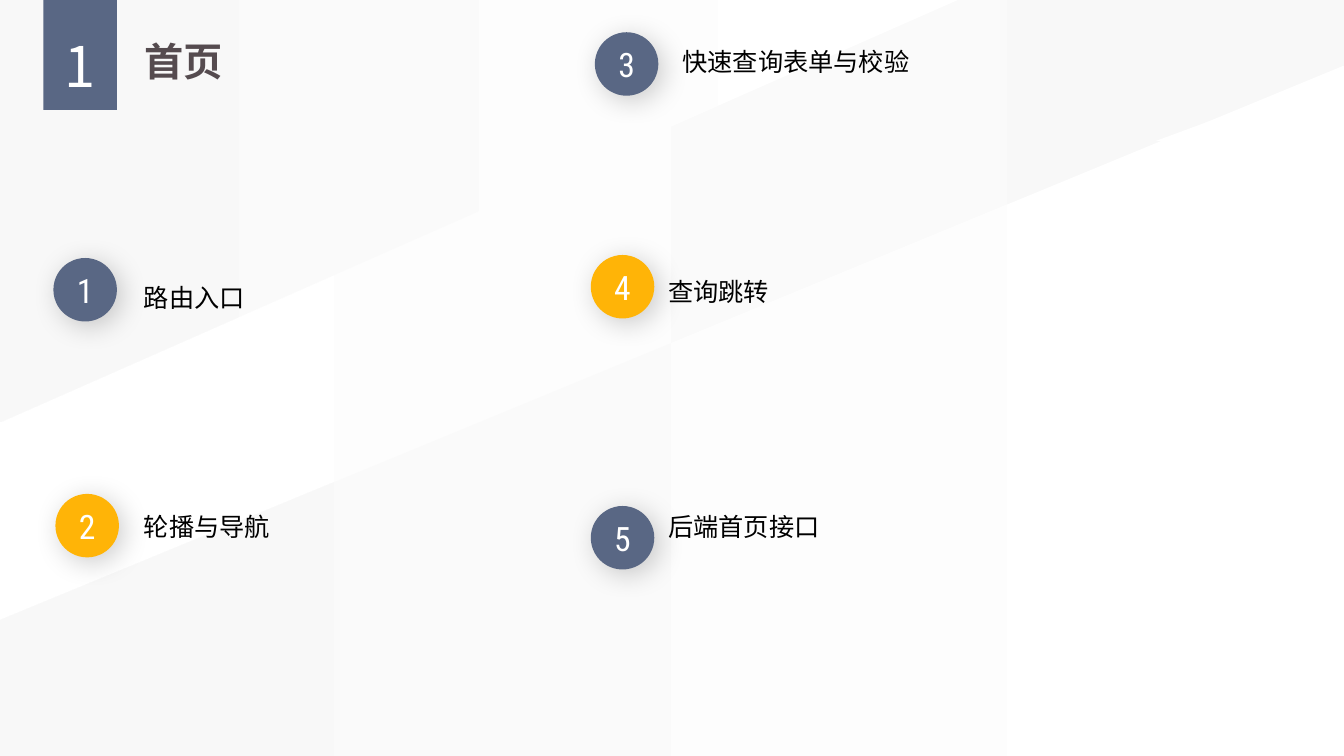
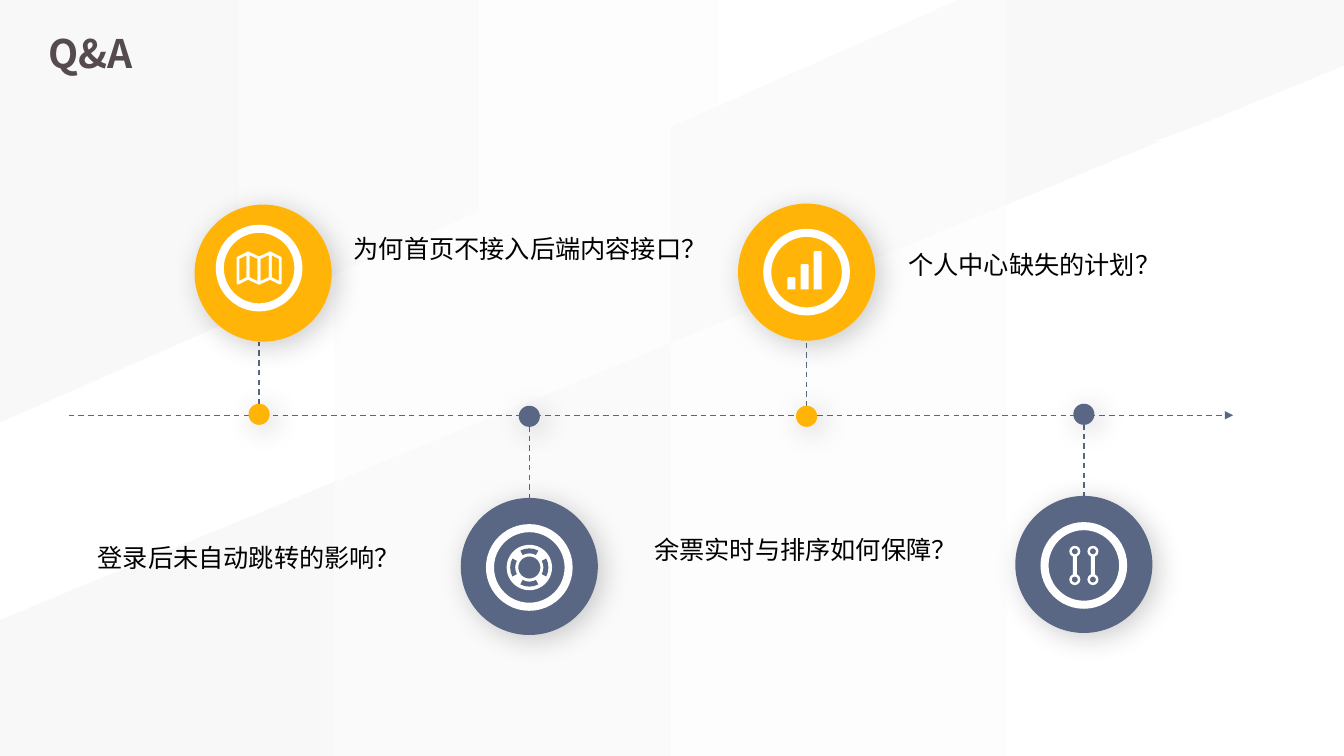
from lxml.etree import SubElement
from pptx import Presentation
from pptx.dml.color import RGBColor
from pptx.enum.dml import MSO_LINE
from pptx.enum.shapes import MSO_CONNECTOR, MSO_SHAPE
from pptx.enum.text import MSO_ANCHOR, MSO_AUTO_SIZE, PP_ALIGN
from pptx.oxml.ns import qn
from pptx.util import Pt

PX = 9144
WIDTH, HEIGHT = 1333, 750
COLORS = {
    "slate": "596784",
    "amber": "FFB407",
    "title": "554B4F",
    "text": "000000",
    "white": "FFFFFF",
    "mist": "F8F8F8",
}
SANS, DIGITS = "Noto Sans CJK SC", "Roboto Condensed"


def rgb(color):
    """Look up a palette colour."""
    return RGBColor.from_string(COLORS[color])


def px(*lengths):
    """Turn px lengths into EMU."""
    return [round(length * PX) for length in lengths]


def paint(shape, color):
    """Give a shape a flat fill without outline or shadow."""
    shape.fill.solid()
    shape.fill.fore_color.rgb = rgb(color)
    shape.line.fill.background()
    shape.shadow.inherit = False
    return shape


def fade(shape, right, left):
    """Fill a shape with a gradient running from right to left."""
    paint(shape, right)
    shape.fill.gradient()
    shape.fill.gradient_angle = 180
    for stop, color in zip(shape.fill.gradient_stops, (right, left)):
        stop.color.rgb = rgb(color)


def cast_shadow(shape):
    """Add a soft shadow towards the lower right."""
    effects = shape.element.spPr.find(qn("a:effectLst"))
    outer = SubElement(effects, qn("a:outerShdw"), blurRad=str(Pt(20)), dist=str(Pt(5)),
                       dir="2700000", algn="tl", rotWithShape="0")
    black = SubElement(outer, qn("a:srgbClr"), val=COLORS["text"])
    SubElement(black, qn("a:alpha"), val="20000")


def preset(slide, kind, box, color, adjustments=()):
    """Draw a flat preset shape in a px box."""
    shape = paint(slide.shapes.add_shape(kind, *px(*box)), color)
    for index, value in enumerate(adjustments):
        shape.adjustments[index] = value
    return shape


def disc(slide, x, y, size, color):
    """Draw a circle with a shadow."""
    circle = preset(slide, MSO_SHAPE.OVAL, (x, y, size, size), color)
    cast_shadow(circle)
    return circle


def ring(slide, cx, cy, size, thickness, color="white"):
    """Draw a ring around a centre point."""
    box = (cx - size / 2, cy - size / 2, size, size)
    preset(slide, MSO_SHAPE.DONUT, box, color, [thickness / size])


def outline(slide, contours):
    """Build one freeform from closed px contours."""
    builder = slide.shapes.build_freeform(*contours[0][0], scale=PX)
    for index, (start, *rest) in enumerate(contours):
        if index:
            builder.move_to(*start)
        builder.add_line_segments(rest, close=True)
    return builder.convert_to_shape()


def write(shape, text, size, color="text", font=SANS, bold=False, spacing=1.0,
          align=PP_ALIGN.LEFT, anchor=MSO_ANCHOR.TOP):
    """Set one formatted paragraph in a shape."""
    frame = shape.text_frame
    frame.text = text
    frame.word_wrap = True
    frame.auto_size = MSO_AUTO_SIZE.NONE
    frame.vertical_anchor = anchor
    paragraph = frame.paragraphs[0]
    paragraph.alignment = align
    paragraph.line_spacing = spacing
    paragraph.font.size = Pt(size)
    paragraph.font.bold = bold
    paragraph.font.color.rgb = rgb(color)
    paragraph.font.name = font
    properties = paragraph._p.pPr.find(qn("a:defRPr"))
    SubElement(properties, qn("a:ea"), typeface=font)


def label(slide, text, box, spacing=1.0):
    """Write a body text line in a px box."""
    write(slide.shapes.add_textbox(*px(*box)), text, 18, spacing=spacing)


def set_title(slide, text, x, y):
    """Move and format the title placeholder."""
    title = slide.shapes.title
    title.left, title.top, title.width, title.height = px(x, y, 400, 85)
    write(title, text, 28, "title", bold=True, spacing=1.3)


def dashed_line(slide, x1, y1, x2, y2, arrow=False):
    """Draw a dashed line, with an arrowhead at its end if asked."""
    line = slide.shapes.add_connector(MSO_CONNECTOR.STRAIGHT, *px(x1, y1, x2, y2))
    line.line.color.rgb = rgb("slate")
    line.line.width = Pt(1)
    line.line.dash_style = MSO_LINE.DASH
    if arrow:
        SubElement(line.line._get_or_add_ln(), qn("a:tailEnd"), type="triangle")
    SubElement(line.element.spPr, qn("a:effectLst"))


def dress_layout(layout, slide):
    """Put the slanted background bands on the layout, built by way of a slide."""
    for placeholder in list(layout.placeholders):
        if placeholder.placeholder_format.idx:
            placeholder.element.getparent().remove(placeholder.element)
    base = preset(slide, MSO_SHAPE.RECTANGLE, (-2, 0, WIDTH + 2, HEIGHT), "white")
    fade(base, "mist", "white")
    upper = outline(slide, [[(0, 0), (950, 0), (0, 419)]])
    fade(upper, "white", "mist")
    lower = outline(slide, [[(-2, 616), (WIDTH, 65), (WIDTH, HEIGHT), (0, HEIGHT)]])
    fade(lower, "white", "mist")
    corner = paint(outline(slide, [[(1146, 140), (WIDTH, 71), (WIDTH, 140)]]), "white")
    for position, band in enumerate((base, upper, lower, corner), start=2):
        layout.shapes.element.insert(position, band.element)


def map_icon(slide, cx, cy, accent):
    """Draw a folded map of four panels."""
    folds = [(cx - 21 + 42 * k / 4, cy - 10 - 5 * (k % 2), cy + 15 - 5 * (k % 2))
             for k in range(5)]
    panels = [[(x1, top1), (x2, top2), (x2, low2), (x1, low1)]
              for (x1, top1, low1), (x2, top2, low2) in zip(folds, folds[1:])]
    sheet = paint(outline(slide, panels), accent)
    sheet.fill.background()
    sheet.line.color.rgb = rgb("white")
    sheet.line.width = Pt(2)


def lifebuoy_icon(slide, cx, cy, accent):
    """Draw a lifebuoy with four openings."""
    ring(slide, cx, cy, 45, 11.5)
    for middle in range(0, 360, 90):
        angles = [(middle + turn) % 360 * 0.6 for turn in (-28, 28)]
        preset(slide, MSO_SHAPE.BLOCK_ARC, (cx - 19, cy - 19, 38, 38), accent,
               [*angles, 5 / 38])


def bars_icon(slide, cx, cy, accent):
    """Draw three rising bars."""
    for k, height in enumerate((12, 25, 38)):
        preset(slide, MSO_SHAPE.ROUND_2_SAME_RECTANGLE,
               (cx - 19 + 13 * k, cy + 17 - height, 8, height), "white")


def links_icon(slide, cx, cy, accent):
    """Draw two upright links with a ring at each end."""
    for x in (cx - 9, cx + 9):
        preset(slide, MSO_SHAPE.RECTANGLE, (x - 2, cy - 10, 4, 20), "white")
        for y in (cy - 14, cy + 14):
            ring(slide, x, y, 11, 2.5)


def topic(slide, number, text, badge, text_at):
    """Place a numbered badge and its topic."""
    circle = disc(slide, *badge, 63, "slate" if number % 2 else "amber")
    write(circle, str(number), 24, "white", DIGITS,
          align=PP_ALIGN.CENTER, anchor=MSO_ANCHOR.MIDDLE)
    label(slide, text, (*text_at, 396, 40))


def chapter_slide(slide):
    """Fill the chapter slide with its number tab and topics."""
    topics = [
        ("路由入口", (53, 256), (133, 275)),
        ("轮播与导航", (55, 490), (133, 502)),
        ("快速查询表单与校验", (590, 32), (667, 41)),
        ("查询跳转", (586, 253), (653, 269)),
        ("后端首页接口", (586, 502), (653, 502)),
    ]
    set_title(slide, "首页", 133, 18)
    tab = preset(slide, MSO_SHAPE.RECTANGLE, (43, 0, 73, 109), "slate")
    frame = tab.text_frame
    frame.margin_left, frame.margin_top, frame.margin_right, frame.margin_bottom = px(0, 11, 0, 0)
    write(tab, "1", 40, "white", spacing=1.3, align=PP_ALIGN.CENTER)
    for number, (text, badge, text_at) in enumerate(topics, start=1):
        topic(slide, number, text, badge, text_at)


def milestone(slide, icon, accent, hub, disc_at, dot_y):
    """Place a disc with its icon, and the stem to its dot on the axis."""
    x, y = hub
    edge = disc_at[1] + (136 if y < dot_y else 0)
    dashed_line(slide, x, dot_y, x, edge)
    disc(slide, *disc_at, 136, accent)
    disc(slide, x - 10.5, dot_y - 10.5, 21, accent)
    ring(slide, x, y, 86, 8)
    icon(slide, x, y, accent)


def questions_slide(slide):
    """Fill the Q&A slide with its timeline and questions."""
    milestones = [
        (map_icon, "amber", (257, 266), (193, 203), 411),
        (lifebuoy_icon, "slate", (525, 563), (457, 494), 413),
        (bars_icon, "amber", (800, 270), (732, 202), 413),
        (links_icon, "slate", (1075, 561), (1007, 492), 411),
    ]
    questions = [
        ("为何首页不接入后端内容接口？", 341, 227, 1.0),
        ("登录后未自动跳转的影响？", 87, 518, 1.5),
        ("个人中心缺失的计划？", 891, 227, 1.5),
        ("余票实时与排序如何保障？", 639, 525, 1.0),
    ]
    set_title(slide, "Q&A", 38, 10)
    dashed_line(slide, 68, 412, 1223, 412, arrow=True)
    for parts in milestones:
        milestone(slide, *parts)
    for text, x, y, spacing in questions:
        label(slide, text, (x, y, 365, 60), spacing)


def main():
    """Build and save the deck."""
    deck = Presentation()
    deck.slide_width, deck.slide_height = px(WIDTH, HEIGHT)
    layout = deck.slide_layouts[5]
    chapter = deck.slides.add_slide(layout)
    dress_layout(layout, chapter)
    chapter_slide(chapter)
    questions_slide(deck.slides.add_slide(layout))
    deck.save("out.pptx")


if __name__ == "__main__":
    main()
